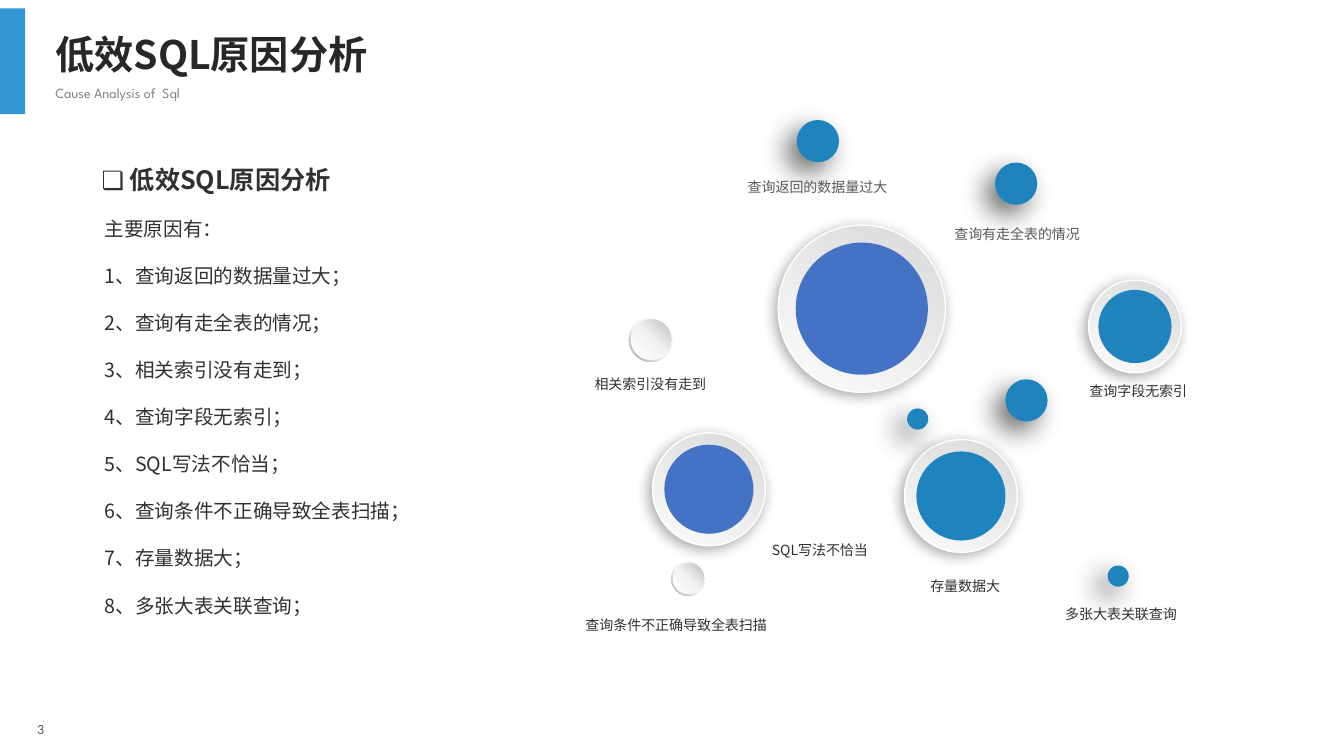
from dataclasses import dataclass

from lxml import etree
from pptx import Presentation
from pptx import util as u
from pptx.dml.color import RGBColor
from pptx.enum import shapes, text
from pptx.oxml import ns


@dataclass(frozen=True)
class Theme:
    accent: str = "3397D3"
    blue: str = "1F84BE"
    indigo: str = "4472C4"
    rim: str = "FFFFFF"
    shadow: str = "000000"
    title: str = "272727"
    body: str = "303030"
    muted: str = "595959"
    subtitle: str = "808080"
    ring_stops: tuple = ((0, "D9D9D9"), (100, "FCFCFC"))
    bevel_stops: tuple = ((0, "FFFFFF"), (55, "F2F2F2"), (100, "A6A6A6"))
    ball_stops: tuple = ((0, "FFFFFF"), (51, "F2F2F2"), (100, "BFBFBF"))
    title_size: int = 28
    heading_size: int = 18
    body_size: int = 14
    small_size: int = 10
    font: str = "Noto Sans CJK SC"
    subtitle_font: str = "League Spartan"
    number_font: str = "Calibri"


class SlideBuilder:
    def __init__(self, slide, theme):
        self.slide = slide
        self.theme = theme

    def shape(self, kind, left, top, width, height, color=None):
        shape = self.slide.shapes.add_shape(
            kind, u.Pt(left), u.Pt(top), u.Pt(width), u.Pt(height))
        shape.shadow.inherit = False
        shape.line.fill.background()
        if color:
            shape.fill.solid()
            shape.fill.fore_color.rgb = RGBColor.from_string(color)
        return shape

    def disc(self, x, y, diameter, color=None, kind=shapes.MSO_SHAPE.OVAL):
        return self.shape(kind, x - diameter / 2, y - diameter / 2,
                          diameter, diameter, color)

    def gradient(self, shape, stops, angle):
        properties = shape._element.spPr
        fill = etree.Element(ns.qn("a:gradFill"), rotWithShape="1")
        stop_list = etree.SubElement(fill, ns.qn("a:gsLst"))
        for position, color in stops:
            stop = etree.SubElement(stop_list, ns.qn("a:gs"), pos=str(position * 1000))
            etree.SubElement(stop, ns.qn("a:srgbClr"), val=color)
        etree.SubElement(fill, ns.qn("a:lin"), ang=str(angle * 60000), scaled="0")
        properties.find(ns.qn("a:prstGeom")).addnext(fill)

    def shadow(self, shape, opacity, blur, distance, angle):
        effects = shape._element.spPr.find(ns.qn("a:effectLst"))
        shadow = etree.SubElement(
            effects, ns.qn("a:outerShdw"), blurRad=str(u.Pt(blur)),
            dist=str(u.Pt(distance)), dir=str(angle * 60000),
            algn="ctr", rotWithShape="0")
        color = etree.SubElement(shadow, ns.qn("a:srgbClr"), val=self.theme.shadow)
        etree.SubElement(color, ns.qn("a:alpha"), val=str(opacity * 1000))

    def ring(self, x, y, diameter, color):
        ring = self.disc(x, y, diameter)
        self.gradient(ring, self.theme.ring_stops, 120)
        ring.line.color.rgb = RGBColor.from_string(self.theme.rim)
        ring.line.width = u.Pt(1)
        self.shadow(ring, 34, 10, 3, 136)
        self.disc(x, y, diameter * 0.79, color)

    def ball(self, x, y, diameter):
        bevel = self.disc(x, y, diameter, kind=shapes.MSO_SHAPE.DONUT)
        bevel.adjustments[0] = 0.049
        self.gradient(bevel, self.theme.bevel_stops, 135)
        self.gradient(self.disc(x, y, diameter * 0.91), self.theme.ball_stops, 315)

    def dot(self, x, y, diameter):
        self.shadow(self.disc(x, y, diameter, self.theme.blue), 60, 20, 10, 135)

    def text(self, lines, left, top, width, height, size, color, font=None,
             bold=False, spacing=1.0, wrap=True, align=text.PP_ALIGN.LEFT):
        box = self.slide.shapes.add_textbox(
            u.Pt(left), u.Pt(top), u.Pt(width), u.Pt(height))
        frame = box.text_frame
        frame.word_wrap = wrap
        frame.text = "\n".join(lines)
        for paragraph in frame.paragraphs:
            paragraph.alignment = align
            paragraph.line_spacing = spacing
            paragraph.font.size = u.Pt(size)
            paragraph.font.bold = bold
            paragraph.font.color.rgb = RGBColor.from_string(color)
            paragraph.font.name = font or self.theme.font
            latin = paragraph._p.pPr.find(".//" + ns.qn("a:latin"))
            latin.addnext(etree.Element(ns.qn("a:ea"), typeface=self.theme.font))
        return frame

    def number(self, value):
        frame = self.text([value], 26.6, 514.8, 53.3, 12.2, self.theme.small_size,
                          self.theme.muted, self.theme.number_font)
        frame.margin_left = frame.margin_right = 0
        frame.margin_top = frame.margin_bottom = 0
        frame.vertical_anchor = text.MSO_ANCHOR.MIDDLE


def main():
    presentation = Presentation()
    presentation.slide_width = u.Pt(960)
    presentation.slide_height = u.Pt(540)
    slide = presentation.slides.add_slide(presentation.slide_layouts[6])
    theme = Theme()
    builder = SlideBuilder(slide, theme)

    builder.number("3")
    builder.shape(shapes.MSO_SHAPE.RECTANGLE, 0, 6, 18, 75.6, theme.accent)
    builder.text(["低效SQL原因分析"], 32.4, 11.5, 287.3, 47.5,
                 theme.title_size, theme.title, bold=True, spacing=1.2)
    builder.text(["Cause Analysis of  Sql"], 32.4, 55.4, 373.7, 20.9,
                 theme.small_size, theme.subtitle, theme.subtitle_font, spacing=1.14)

    builder.text(["❏ 低效SQL原因分析"], 65.5, 109.4, 288, 33.1,
                 theme.heading_size, theme.body, bold=True, spacing=1.2)
    causes = ["查询返回的数据量过大", "查询有走全表的情况", "相关索引没有走到",
              "查询字段无索引", "SQL写法不恰当", "查询条件不正确导致全表扫描",
              "存量数据大", "多张大表关联查询"]
    numbered = [f"{index}、{cause}；" for index, cause in enumerate(causes, 1)]
    builder.text(["主要原因有：", *numbered], 67.7, 134.6, 293, 312.5,
                 theme.body_size, theme.body, spacing=2.0,
                 align=text.PP_ALIGN.JUSTIFY)

    for x, y, diameter, color in [
            (615.6, 220.5, 119.5, theme.indigo), (506.4, 349.5, 80.6, theme.indigo),
            (686.4, 354.3, 80.6, theme.blue), (810.7, 233.2, 66.2, theme.blue)]:
        builder.ring(x, y, diameter, color)
    for x, y, diameter in [(491.8, 413.3, 24.5), (465.1, 242.6, 31.7)]:
        builder.ball(x, y, diameter)
    for x, y, diameter in [(733.2, 286, 30.2), (725.8, 131.2, 30.2),
                           (798.7, 411.5, 15.1), (584.2, 100.8, 30.2),
                           (655.5, 299.3, 15.1)]:
        builder.dot(x, y, diameter)

    label_places = [
        (527, 123.8, 114.5, theme.muted, False),
        (674.6, 157.7, 104.4, theme.muted, False),
        (417.6, 264.8, 94.3, theme.body, False),
        (771.1, 270, 87.1, theme.body, True),
        (544.3, 383, 83.5, theme.body, True),
        (411.1, 437, 144.7, theme.body, False),
        (657.4, 409, 64.1, theme.body, False),
        (753.8, 429.1, 94.3, theme.body, False)]
    for cause, (left, top, width, color, wrap) in zip(causes, label_places):
        builder.text([cause], left, top, width, 19.4, theme.small_size, color, wrap=wrap)

    presentation.save("out.pptx")


if __name__ == "__main__":
    main()
